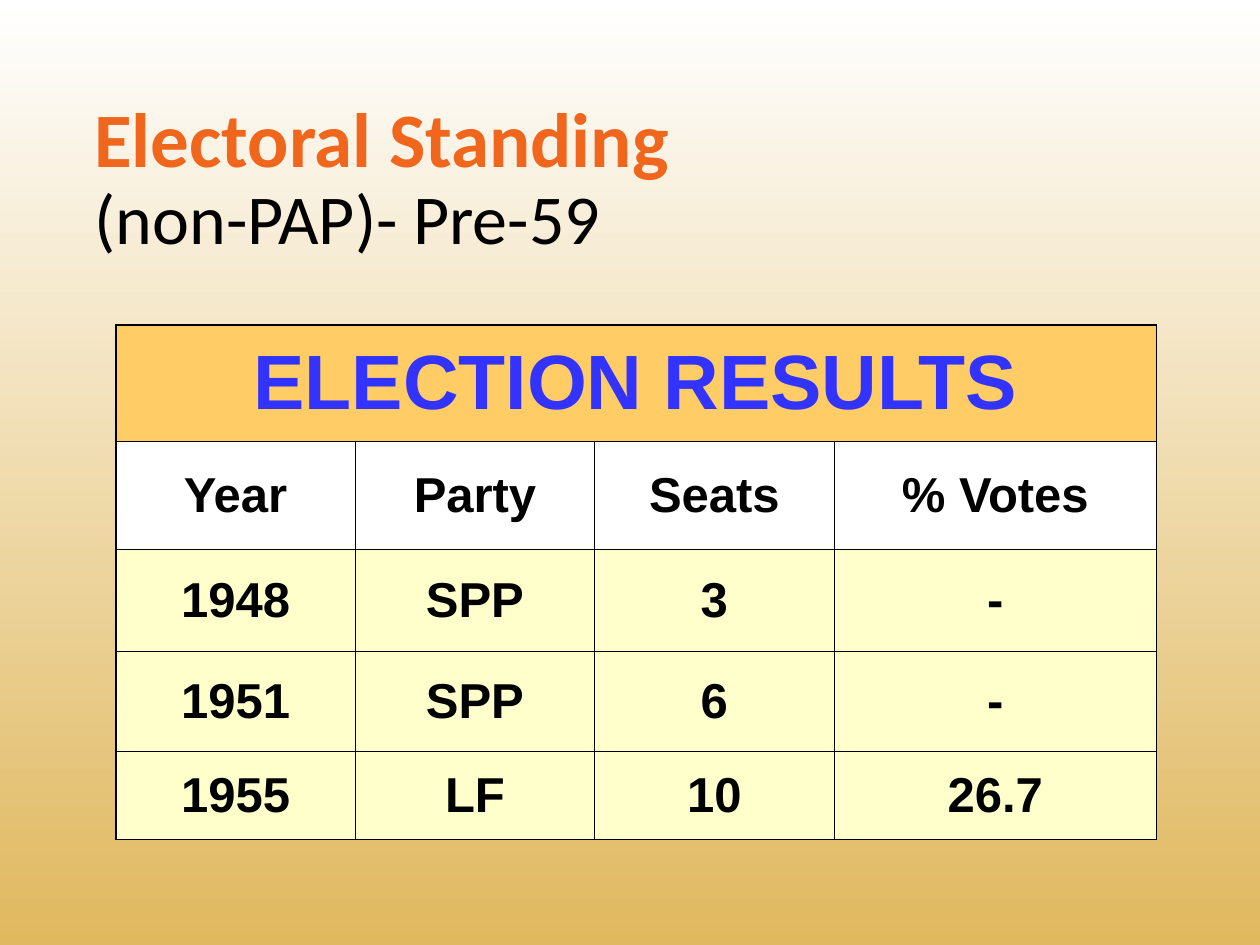
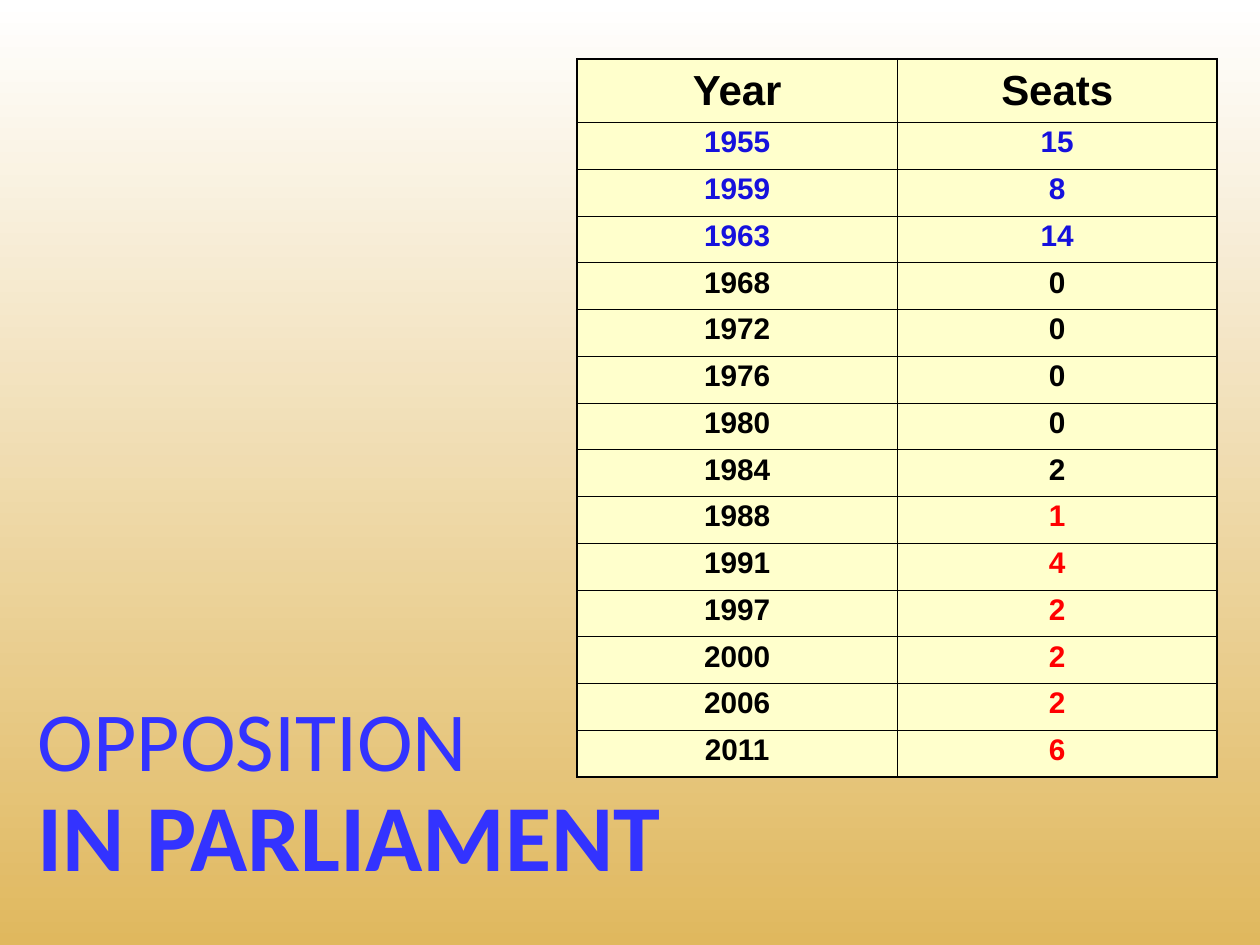
from lxml.etree import SubElement
from pptx import Presentation
from pptx.dml.color import RGBColor
from pptx.enum.text import MSO_ANCHOR as Anchor, MSO_AUTO_SIZE as AutoSize, PP_ALIGN as Align
from pptx.oxml.ns import qn
from pptx.util import Pt

GOLD, WHITE, BLACK = "E0B85E", "FFFFFF", "000000"
ORANGE, CREAM, AMBER = "F0661C", "FFFFCC", "FFCC66"
BLUE, NAVY, RED = "3333FF", "1611DD", "FF0000"
OUTER_LINE, INNER_LINE = 1.08, 0.45
TIGHT = 0.9

RESULTS = [
    ("Year", "Party", "Seats", "% Votes"),
    ("1948", "SPP", "3", "-"),
    ("1951", "SPP", "6", "-"),
    ("1955", "LF", "10", "26.7"),
]
OPPOSITION_SEATS = [
    (1955, 15), (1959, 8), (1963, 14), (1968, 0), (1972, 0), (1976, 0), (1980, 0),
    (1984, 2), (1988, 1), (1991, 4), (1997, 2), (2000, 2), (2006, 2), (2011, 6),
]


def colour(value):
    """Turn a hex string into a colour."""
    return RGBColor.from_string(value)


def paint_background(master):
    """Give every slide the gold gradient that fades to white at the top."""
    fill = master.background.fill
    fill.gradient()
    fill.gradient_angle = 90
    for stop, value in zip(fill.gradient_stops, (GOLD, WHITE)):
        stop.color.rgb = colour(value)


def add_page(deck, box, lines):
    """Add a slide with a two-line title; each line is text, size, colour, bold."""
    page = deck.slides.add_slide(deck.slide_layouts.get_by_name("Title Only"))
    title = page.shapes.title
    title.left, title.top, title.width, title.height = map(Pt, box)
    frame = title.text_frame
    frame.word_wrap, frame.auto_size = True, AutoSize.NONE
    frame.vertical_anchor = Anchor.TOP
    para = frame.paragraphs[0]
    para.alignment, para.line_spacing = Align.LEFT, TIGHT
    para.font.name = "Calibri"
    for index, (text, size, value, bold) in enumerate(lines):
        if index:
            para.add_line_break()
        span = para.add_run()
        span.text = text
        span.font.name, span.font.size, span.font.bold = "Calibri", Pt(size), bold
        span.font.color.rgb = colour(value)
    return page


def add_grid(page, left, top, widths, heights):
    """Add an unstyled table with the given column widths and row heights."""
    box = map(Pt, (left, top, sum(widths), sum(heights)))
    table = page.shapes.add_table(len(heights), len(widths), *box).table
    table.first_row = table.horz_banding = False
    for column, width in zip(table.columns, widths):
        column.width = Pt(width)
    for row, height in zip(table.rows, heights):
        row.height = Pt(height)
    return table


def draw_borders(table):
    """Rule the table with thin inner lines and a heavier frame."""
    last_row, last_column = len(table.rows), len(table.columns)
    for r in range(last_row):
        for c in range(last_column):
            cell = table.cell(r, c)
            if cell.is_spanned:
                continue
            edges = {
                "a:lnL": c == 0,
                "a:lnR": c + cell.span_width == last_column,
                "a:lnT": r == 0,
                "a:lnB": r + 1 == last_row,
            }
            properties = cell._tc.get_or_add_tcPr()
            for tag, outer in edges.items():
                width = Pt(OUTER_LINE if outer else INNER_LINE)
                line = SubElement(properties, qn(tag), w=str(int(width)))
                SubElement(SubElement(line, qn("a:solidFill")), qn("a:srgbClr"), val=BLACK)


def fill_cell(cell, text, size, value=BLACK, back=CREAM, anchor=Anchor.MIDDLE, spacing=1.0):
    """Write centred bold text on a plain fill."""
    cell.text = text
    cell.vertical_anchor = anchor
    cell.fill.solid()
    cell.fill.fore_color.rgb = colour(back)
    para = cell.text_frame.paragraphs[0]
    para.alignment, para.line_spacing = Align.CENTER, spacing
    para.font.name, para.font.size, para.font.bold = "Arial", Pt(size), True
    para.font.color.rgb = colour(value)


def add_results_table(page, left, top):
    """Place the election results under a heading that spans all columns."""
    table = add_grid(page, left, top, [136.8] * 3 + [184.3], [66.2, 61.8, 58.3, 57.2, 50.4])
    heading = table.cell(0, 0)
    heading.merge(table.cell(0, 3))
    draw_borders(table)
    fill_cell(heading, "ELECTION RESULTS", 44, BLUE, AMBER)
    for r, record in enumerate(RESULTS, 1):
        for c, text in enumerate(record):
            fill_cell(table.cell(r, c), text, 28, back=WHITE if r == 1 else CREAM)


def add_seats_table(page, left, top):
    """Place the opposition seats by year, coloured by period."""
    table = add_grid(page, left, top, [182.9] * 2, [36.5] + [26.71] * len(OPPOSITION_SEATS))
    draw_borders(table)
    for c, text in enumerate(("Year", "Seats")):
        fill_cell(table.cell(0, c), text, 24)
    for r, (year, seats) in enumerate(OPPOSITION_SEATS, 1):
        year_colour = NAVY if year < 1968 else BLACK
        seats_colour = RED if year >= 1988 else year_colour
        for c, (number, value) in enumerate(((year, year_colour), (seats, seats_colour))):
            fill_cell(table.cell(r, c), str(number), 17, value, anchor=Anchor.TOP, spacing=TIGHT)


def main():
    """Build the two slides and save them."""
    deck = Presentation()
    deck.slide_width, deck.slide_height = Pt(720), Pt(540)
    paint_background(deck.slide_master)

    standing = add_page(deck, (46.8, 54, 416, 98), [
        ("Electoral Standing", 44, ORANGE, True),
        ("(non-PAP)- Pre-59", 40, BLACK, False),
    ])
    add_results_table(standing, 66.2, 185.8)

    opposition = add_page(deck, (14.4, 396, 445, 117.4), [
        ("OPPOSITION", 48, BLUE, False),
        ("IN PARLIAMENT", 54, BLUE, True),
    ])
    add_seats_table(opposition, 329.8, 33.6)

    deck.save("out.pptx")


if __name__ == "__main__":
    main()
